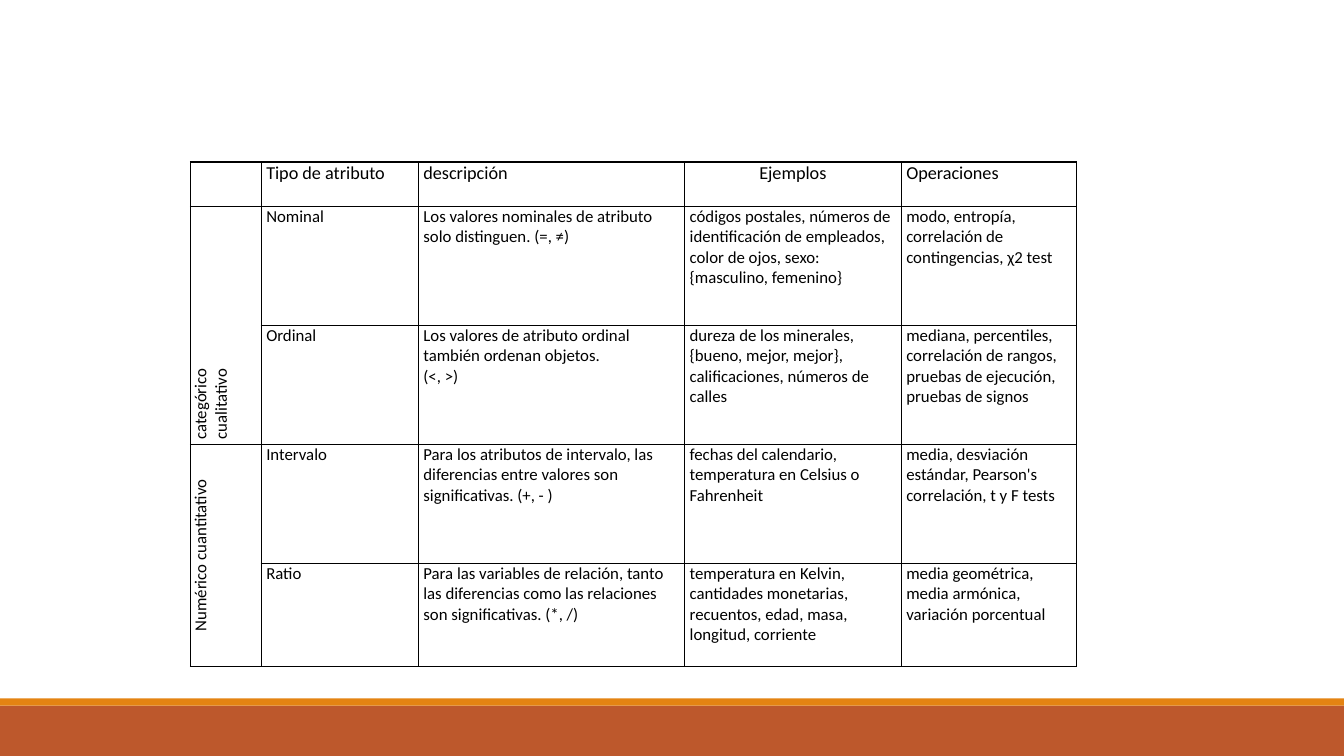
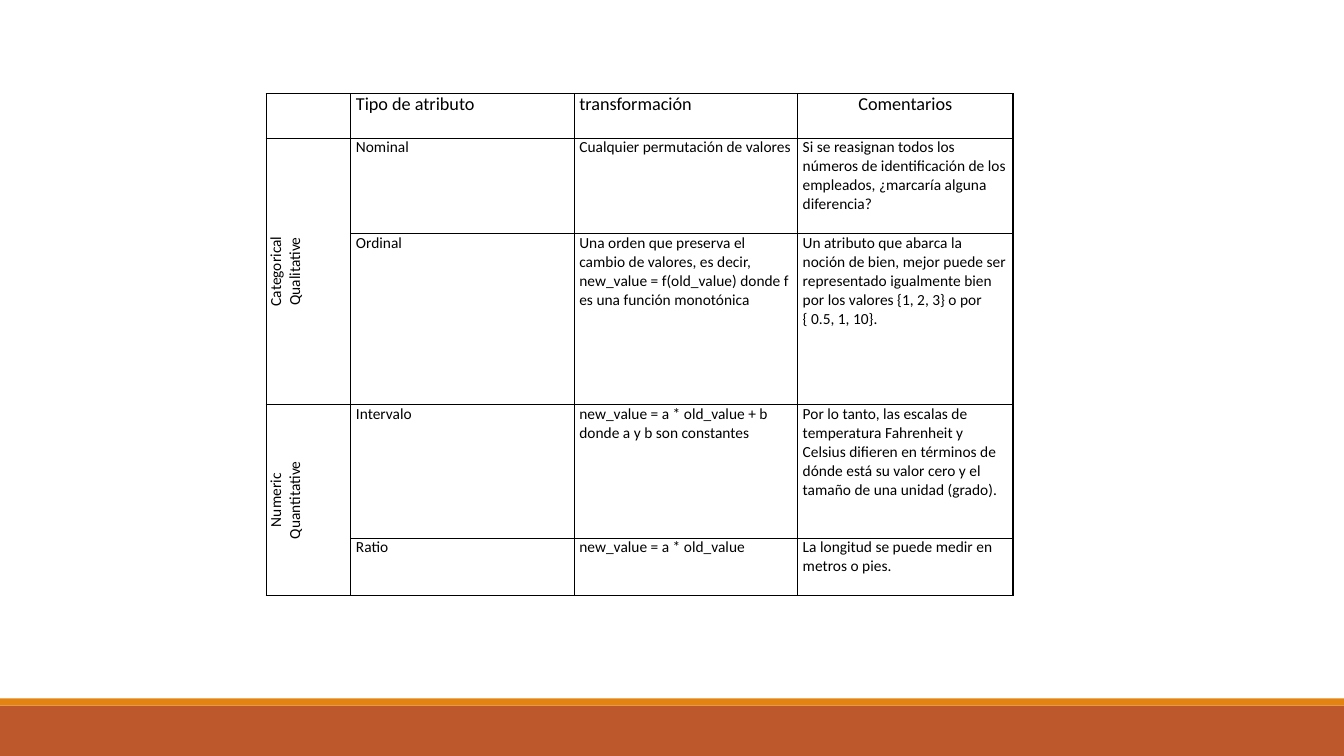
"""Build two slides with tables of attribute types."""
import pptx
import pptx.dml.color
import pptx.enum.shapes
import pptx.enum.text
import pptx.oxml
import pptx.oxml.ns
import pptx.util
from pptx.util import Cm

RUST = pptx.dml.color.RGBColor(0xBD, 0x58, 0x2C)
ORANGE = pptx.dml.color.RGBColor(0xE4, 0x83, 0x12)
BLACK = pptx.dml.color.RGBColor(0x00, 0x00, 0x00)
WHITE = pptx.dml.color.RGBColor(0xFF, 0xFF, 0xFF)
FONT = "Calibri"
HEADER_SIZE = 13
CENTER = pptx.enum.text.PP_ALIGN.CENTER
LEFT = pptx.enum.text.PP_ALIGN.LEFT


def add_borders(cell):
    tcPr = cell._tc.get_or_add_tcPr()
    for side in ("lnL", "lnR", "lnT", "lnB"):
        tcPr.append(pptx.oxml.parse_xml(
            f'<a:{side} {pptx.oxml.ns.nsdecls("a")} w="{pptx.util.Pt(1)}">'
            f'<a:solidFill><a:srgbClr val="{BLACK}"/></a:solidFill></a:{side}>'))


def write_cell(cell, text, size, align):
    tf = cell.text_frame
    for i, line in enumerate(text.split("\n")):
        p = tf.add_paragraph() if i else tf.paragraphs[0]
        p.alignment = align
        r = p.add_run()
        r.text = line
        r.font.name = FONT
        r.font.size = pptx.util.Pt(size)
        r.font.bold = False
        r.font.color.rgb = BLACK


TABLES = [
    {
        "left": 4.8, "top": 4.08, "size": 12,
        "cols": [1.78, 3.96, 6.71, 5.46, 4.42],
        "rows": [1.12, 3, 3, 3, 2.59],
        "groups": [("categórico\ncualitativo", LEFT),
                   ("Numérico cuantitativo", CENTER)],
        "centered": "Ejemplos",
        "cells": [
            ["Tipo de atributo", "descripción", "Ejemplos", "Operaciones"],
            ["Nominal",
             "Los valores nominales de atributo solo distinguen. (=, ≠)",
             "códigos postales, números de identificación de empleados, "
             "color de ojos, sexo: {masculino, femenino}",
             "modo, entropía, correlación de contingencias, χ2 test"],
            ["Ordinal",
             "Los valores de atributo ordinal también ordenan objetos.\n(<, >)",
             "dureza de los minerales, {bueno, mejor, mejor}, "
             "calificaciones, números de calles",
             "mediana, percentiles, correlación de rangos, "
             "pruebas de ejecución, pruebas de signos"],
            ["Intervalo",
             "Para los atributos de intervalo, las diferencias entre "
             "valores son significativas. (+, - )",
             "fechas del calendario, temperatura en Celsius o Fahrenheit",
             "media, desviación estándar, Pearson's correlación, t y F tests"],
            ["Ratio",
             "Para las variables de relación, tanto las diferencias como "
             "las relaciones son significativas. (*, /)",
             "temperatura en Kelvin, cantidades monetarias, recuentos, "
             "edad, masa, longitud, corriente",
             "media geométrica, media armónica, variación porcentual"],
        ],
    },
    {
        "left": 6.71, "top": 2.36, "size": 11,
        "cols": [2.13, 5.63, 5.63, 5.43],
        "rows": [1.12, 2.4, 4.32, 3.36, 1.45],
        "groups": [("Categorical\nQualitative", CENTER),
                   ("Numeric\nQuantitative", CENTER)],
        "centered": "Comentarios",
        "cells": [
            ["Tipo de atributo", "transformación", "Comentarios"],
            ["Nominal",
             "Cualquier permutación de valores",
             "Si se reasignan todos los números de identificación de los "
             "empleados, ¿marcaría alguna diferencia?"],
            ["Ordinal",
             "Una orden que preserva el cambio de valores, es decir, "
             "new_value = f(old_value) donde f es una función monotónica",
             "Un atributo que abarca la noción de bien, mejor puede ser "
             "representado igualmente bien por los valores {1, 2, 3} o por "
             "{ 0.5, 1, 10}."],
            ["Intervalo",
             "new_value = a * old_value + b donde a y b son constantes",
             "Por lo tanto, las escalas de temperatura Fahrenheit y Celsius "
             "difieren en términos de dónde está su valor cero y el tamaño "
             "de una unidad (grado)."],
            ["Ratio",
             "new_value = a * old_value",
             "La longitud se puede medir en metros o pies."],
        ],
    },
]

prs = pptx.Presentation()
prs.slide_width = Cm(33.87)
prs.slide_height = Cm(19.05)
blank = prs.slide_layouts[6]
slides = [prs.slides.add_slide(blank) for _ in TABLES]

master_tree = prs.slide_master.shapes._spTree
for top, height, color in ((17.78, 1.27, RUST), (17.6, 0.18, ORANGE)):
    sp = slides[0].shapes.add_shape(
        pptx.enum.shapes.MSO_SHAPE.RECTANGLE,
        0, Cm(top), prs.slide_width, Cm(height))
    sp.shadow.inherit = False
    sp.fill.solid()
    sp.fill.fore_color.rgb = color
    sp.line.fill.background()
    master_tree.append(sp._element)

for s, spec in zip(slides, TABLES):
    cols, rows = spec["cols"], spec["rows"]
    tbl = s.shapes.add_table(
        len(rows), len(cols), Cm(spec["left"]), Cm(spec["top"]),
        Cm(sum(cols)), Cm(sum(rows))).table
    tbl.first_row = False
    tbl.horz_banding = False
    for col, width in zip(tbl.columns, cols):
        col.width = Cm(width)
    for row, height in zip(tbl.rows, rows):
        row.height = Cm(height)

    for cell in tbl.iter_cells():
        cell.margin_left = cell.margin_right = Cm(0.13)
        cell.margin_top = cell.margin_bottom = 0
        add_borders(cell)
        cell.fill.solid()
        cell.fill.fore_color.rgb = WHITE

    for i, texts in enumerate(spec["cells"]):
        size = spec["size"] if i else HEADER_SIZE
        for j, text in enumerate(texts, start=1):
            align = CENTER if text == spec["centered"] else LEFT
            write_cell(tbl.cell(i, j), text, size, align)

    for i, (label, align) in enumerate(spec["groups"]):
        cell = tbl.cell(1 + 2 * i, 0)
        cell.merge(tbl.cell(2 + 2 * i, 0))
        cell._tc.get_or_add_tcPr().set("vert", "vert270")
        write_cell(cell, label, spec["size"], align)

prs.save("out.pptx")
